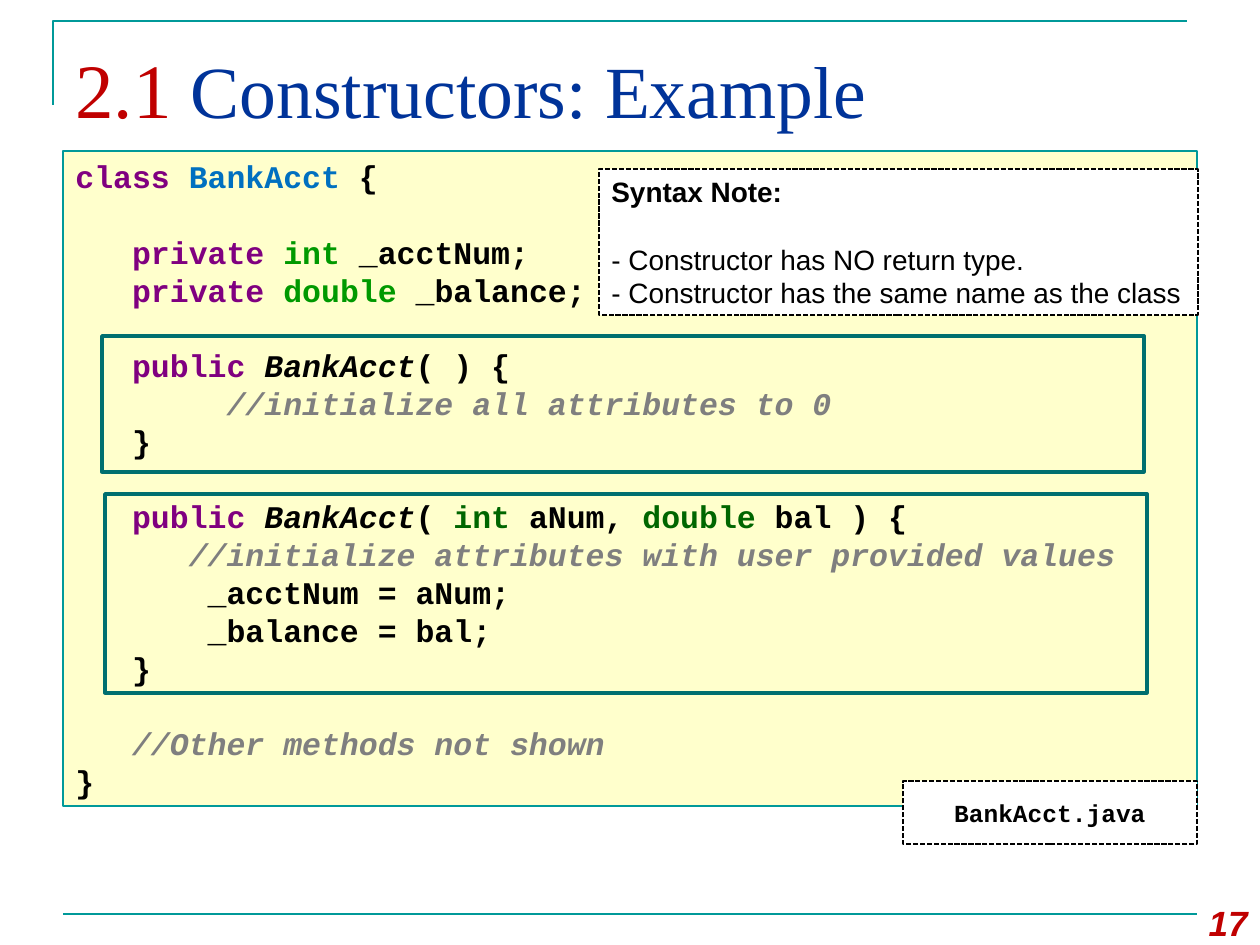
from dataclasses import dataclass
from pptx import Presentation
from pptx.dml.color import RGBColor as RGB
from pptx.enum.dml import MSO_LINE as Dash
from pptx.enum.shapes import MSO_CONNECTOR as Conn, MSO_SHAPE as Geo
from pptx.enum.text import MSO_ANCHOR as Anchor, PP_ALIGN as Align
from pptx.util import Emu, Pt
from lxml.etree import SubElement

PX = 914400 / 126
NS = "{http://schemas.openxmlformats.org/drawingml/2006/main}"


@dataclass(frozen=True)
class Theme:
    serif: str = "Times New Roman"
    sans: str = "Arial"
    mono: str = "Courier New"
    teal: str = "009999"
    deep: str = "006F6F"
    cream: str = "FFFFCC"
    white: str = "FFFFFF"
    black: str = "000000"
    red: str = "C00000"
    navy: str = "003399"
    purple: str = "800080"
    blue: str = "0070C0"
    green: str = "009900"
    dark: str = "006600"
    gray: str = "7F7F7F"
    number: int = 44
    title: int = 42
    page: int = 20
    code: int = 18
    note: int = 16
    file: int = 14


T = Theme()

# Code styles: colour, italic
KEY, NAME, TYPE, ARG = [(c, False) for c in (T.purple, T.blue, T.green, T.dark)]
CODE, CTOR, REM = (T.black, False), (T.black, True), (T.gray, True)

# Each block is set off by one empty line
BLOCKS = [
    [[("class ", KEY), ("BankAcct", NAME), (" {", CODE)]],
    [[("   private ", KEY), ("int", TYPE), (" _acctNum;", CODE)],
     [("   private ", KEY), ("double", TYPE), (" _balance;", CODE)]],
    [[("   public ", KEY), ("BankAcct", CTOR), ("( ) {", CODE)],
     [("        ", CODE), ("//initialize all attributes to 0", REM)],
     [("   }", CODE)]],
    [[("   public ", KEY), ("BankAcct", CTOR), ("( ", CODE), ("int", ARG),
      (" aNum, ", CODE), ("double", ARG), (" bal ) {", CODE)],
     [("      ", CODE),
      ("//initialize attributes with user provided values", REM)],
     [("       _acctNum = aNum;", CODE)],
     [("       _balance = bal;", CODE)],
     [("   }", CODE)]],
    [[("   //Other methods not shown", REM)],
     [("}", CODE)]],
]


def px(*nums):
    return [Emu(round(n * PX)) for n in nums]


def add_run(para, text, font, size, color, bold=False, italic=False):
    run = para.add_run()
    run.text = text
    face = run.font
    face.name, face.size = font, Pt(size)
    face.bold, face.italic = bold, italic
    face.color.rgb = RGB.from_string(color)


def add_para(frame, size, first=False, gap=False, align=Align.LEFT):
    """Add a paragraph; gap leaves one line of space above it."""
    para = frame.paragraphs[0] if first else frame.add_paragraph()
    pitch = Pt(size * 1.2)
    para.alignment, para.line_spacing = align, pitch
    if gap:
        para.space_before = pitch
    return para


def add_text(slide, box, anchor=Anchor.TOP):
    frame = slide.shapes.add_textbox(*px(*box)).text_frame
    frame.word_wrap, frame.vertical_anchor = True, anchor
    return frame


def add_box(slide, box, line, width, fill=None, dash=None, anchor=Anchor.TOP):
    shape = slide.shapes.add_shape(Geo.RECTANGLE, *px(*box))
    shape.shadow.inherit = False
    if fill:
        shape.fill.solid()
        shape.fill.fore_color.rgb = RGB.from_string(fill)
    else:
        shape.fill.background()
    set_line(shape, line, width)
    if dash:
        shape.line.dash_style = dash
    frame = shape.text_frame
    frame.word_wrap, frame.vertical_anchor = True, anchor
    return frame


def set_line(shape, color, width):
    shape.line.color.rgb = RGB.from_string(color)
    shape.line.width = Pt(width)


def add_frame(slide):
    """Draw the corner above the title and the rule at the foot."""
    path = slide.shapes.build_freeform(53, 105, scale=PX)
    path.add_line_segments([(53, 21), (1187, 21)], close=False)
    corner = path.convert_to_shape()
    corner.shadow.inherit = False
    corner.fill.background()
    set_line(corner, T.teal, 1.5)
    rule = slide.shapes.add_connector(Conn.STRAIGHT, *px(63, 914, 1197, 914))
    set_line(rule, T.teal, 1.5)
    SubElement(rule.line._get_or_add_ln().getparent(), NS + "effectLst")


def add_title(slide):
    frame = add_text(slide, (63, 32, 1134, 108), Anchor.BOTTOM)
    para = frame.paragraphs[0]
    add_run(para, "2.1 ", T.serif, T.number, T.red)
    add_run(para, "Constructors: Example", T.serif, T.title, T.navy)


def add_code(slide):
    frame = add_box(slide, (63, 151, 1134, 655), T.teal, 0.75, T.cream)
    for b, block in enumerate(BLOCKS):
        for n, line in enumerate(block):
            start = n == 0
            para = add_para(frame, T.code, start and b == 0, start and b > 0)
            for text, (color, italic) in line:
                add_run(para, text, T.mono, T.code, color, True, italic)


def add_note(slide):
    frame = add_box(slide, (599, 169, 599, 146), T.black, 1, T.white,
                    Dash.SQUARE_DOT, Anchor.MIDDLE)
    lines = ["Syntax Note:", "- Constructor has NO return type.",
             "- Constructor has the same name as the class"]
    for n, text in enumerate(lines):
        para = add_para(frame, T.note, n == 0, n == 1)
        add_run(para, text, T.sans, T.note, T.black, n == 0)


def add_file(slide):
    frame = add_box(slide, (903, 781, 294, 63), T.black, 1, T.white,
                    Dash.SQUARE_DOT, Anchor.MIDDLE)
    para = add_para(frame, T.file, True, align=Align.CENTER)
    add_run(para, "BankAcct.java", T.mono, T.file, T.black, True)


def add_page(slide):
    frame = add_text(slide, (1176, 895, 84, 50))
    para = add_para(frame, T.page, True, align=Align.RIGHT)
    add_run(para, "17", T.sans, T.page, T.red, True, True)


def main():
    deck = Presentation()
    deck.slide_width, deck.slide_height = px(1260, 945)
    slide = deck.slides.add_slide(deck.slide_layouts[6])
    add_frame(slide)
    add_title(slide)
    add_code(slide)
    add_note(slide)
    add_file(slide)
    add_page(slide)
    for box in ((102, 336, 1042, 136), (105, 494, 1042, 199)):
        add_box(slide, box, T.deep, 2)
    deck.save("out.pptx")


if __name__ == "__main__":
    main()
